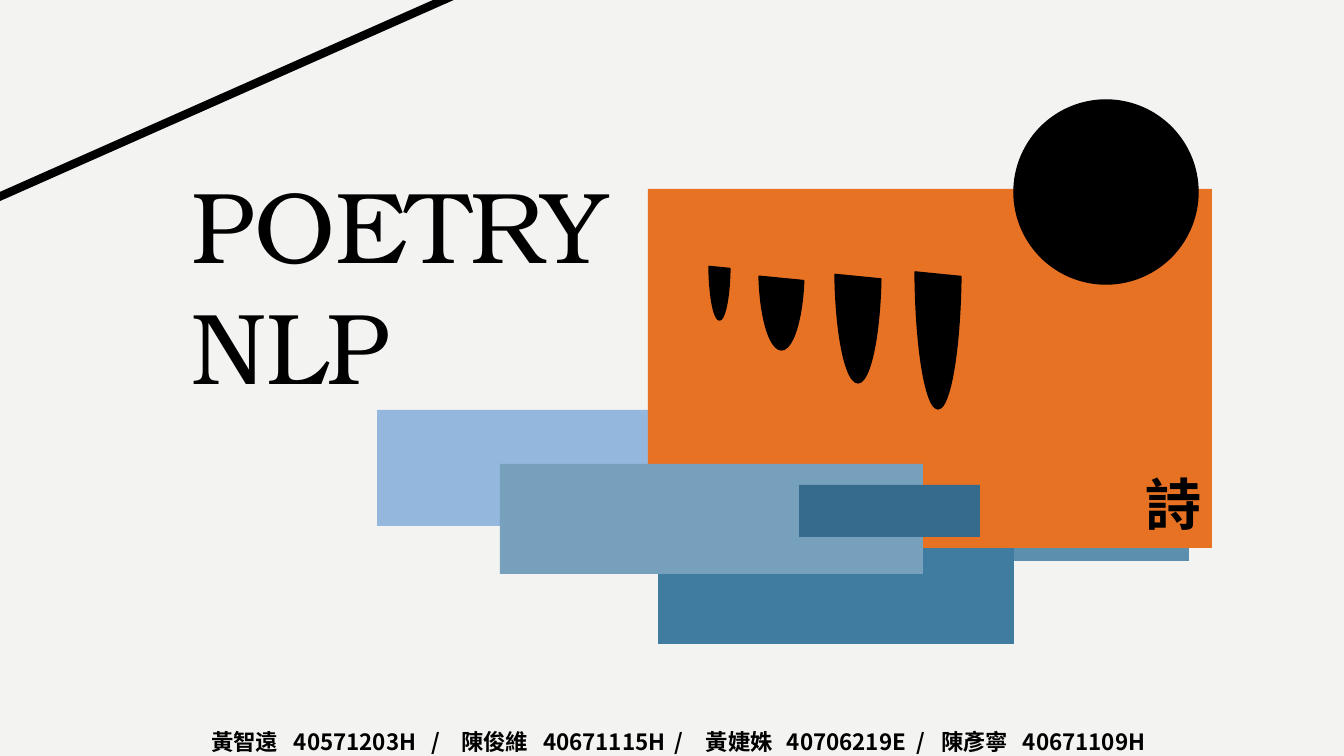
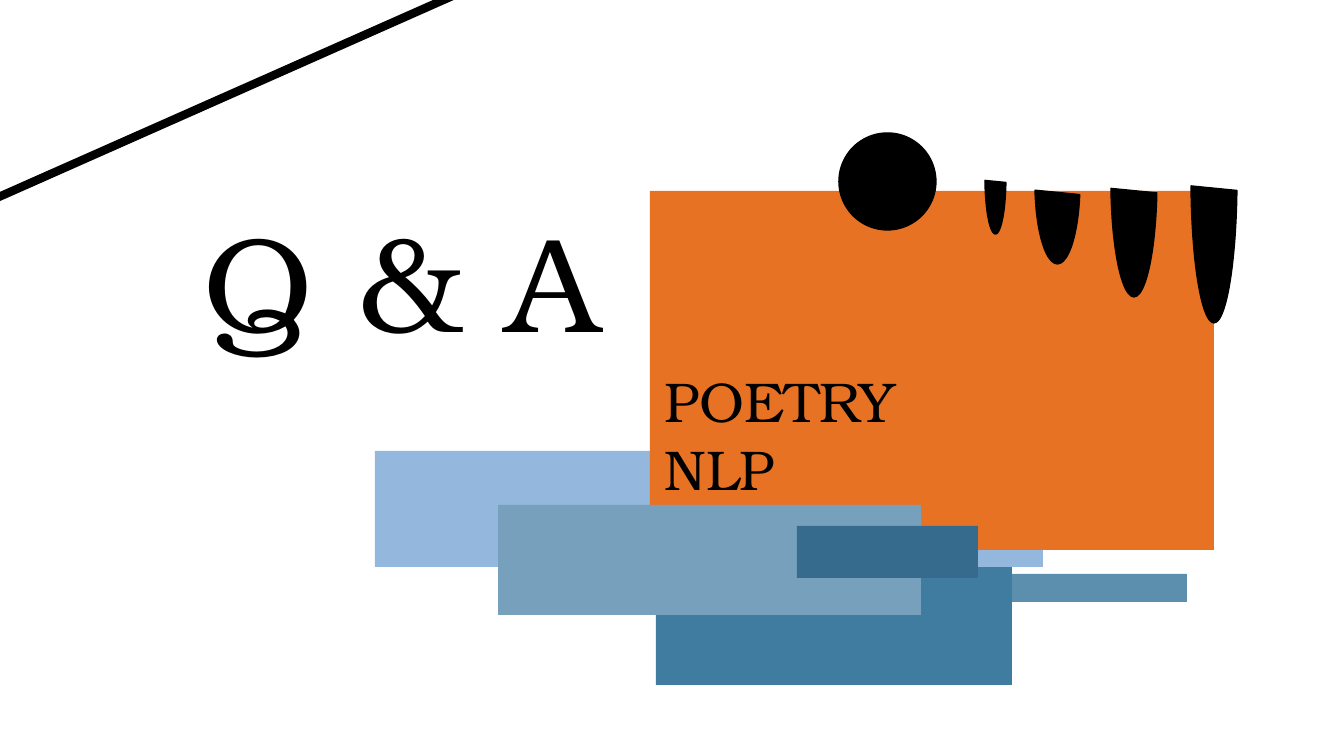
from dataclasses import dataclass

from lxml.etree import SubElement
from pptx import Presentation
from pptx.dml.color import RGBColor
from pptx.enum.shapes import MSO_CONNECTOR, MSO_SHAPE
from pptx.enum.text import MSO_AUTO_SIZE
from pptx.oxml.ns import qn
from pptx.util import Emu, Pt

WIDE, HIGH = 1344, 756
SCALE = 12192000 / WIDE


@dataclass(frozen=True)
class Theme:
    # Colours
    ink: str = "000000"
    paper: str = "F3F3F1"
    white: str = "FFFFFF"
    orange: str = "E77224"
    steel: str = "5C8FAD"
    ocean: str = "3F7C9F"
    sky: str = "94B8DD"
    mist: str = "77A0BD"
    navy: str = "376B8E"
    # Fonts and type sizes
    serif: str = "TeX Gyre Bonum"
    sans: str = "Noto Sans CJK SC"
    huge: int = 96
    title: int = 72
    label: int = 40
    small: int = 16
    # Line widths
    thin: int = 1
    thick: int = 6


THEME = Theme()

# Bands on the cover: colour and box, from back to front
BACK = [
    (THEME.steel, (616, 533, 573, 28)),
    (THEME.ocean, (658, 499, 356, 145)),
    (THEME.sky, (377, 410, 668, 116)),
]
FRONT = [
    (THEME.mist, (500, 464, 423, 110)),
    (THEME.navy, (799, 485, 181, 52)),
]
PANEL = (648, 189, 564, 359)
LEAVES = [
    (709, 206, 21, 114),
    (759, 188, 45, 162),
    (835, 151, 46, 232),
    (915, 120, 46, 289),
]
# Chord angles of 27.62 and 162 degrees, as adjustment values
CHORD = [degree * 0.6 for degree in (27.62, 162)]

TEAM = [
    ("黃智遠", "40571203H"),
    ("陳俊維", "40671115H"),
    ("黃婕姝", "40706219E"),
    ("陳彥寧", "40671109H"),
]
# Tab stops for number, slash and name, from the first name
STOPS = [83, 220, 250, 332, 464, 495, 576, 706, 730, 812]


def px(value):
    return Emu(round(value * SCALE))


def tint(code):
    return RGBColor.from_string(code)


def shift(box, move):
    left, top, width, height = box
    return left + move[0], top + move[1], width, height


def shape(slide, kind, box, color, edge=None):
    item = slide.shapes.add_shape(kind, *map(px, box))
    item.shadow.inherit = False
    item.fill.solid()
    item.fill.fore_color.rgb = tint(color)
    if edge:
        item.line.color.rgb = tint(color)
        item.line.width = Pt(edge)
    else:
        item.line.fill.background()
    return item


def text(slide, box, lines, size, face=THEME.serif, bold=False):
    frame = slide.shapes.add_textbox(*map(px, box)).text_frame
    frame.word_wrap = True
    frame.auto_size = MSO_AUTO_SIZE.SHAPE_TO_FIT_TEXT
    frame.text = "\n".join(lines)
    for para in frame.paragraphs:
        font = para.font
        font.name, font.size, font.bold = face, Pt(size), bold
        font.color.rgb = tint(THEME.ink)
        base = para._p.pPr.find(qn("a:defRPr"))
        SubElement(base, qn("a:ea")).set("typeface", face)
    return frame


def slash(slide):
    line = slide.shapes.add_connector(
        MSO_CONNECTOR.STRAIGHT, *map(px, (581, -61, -193, 282)))
    line.line.color.rgb = tint(THEME.ink)
    line.line.width = Pt(THEME.thick)
    SubElement(line._element.spPr, qn("a:effectLst"))


def art(slide, disc, bands=(0, 0), panel=(0, 0), leaves=(0, 0)):
    # Bands behind and in front of the orange panel
    rows = [(color, shift(box, bands)) for color, box in BACK]
    rows.append((THEME.orange, shift(PANEL, panel)))
    rows += [(color, shift(box, bands)) for color, box in FRONT]
    for color, box in rows:
        shape(slide, MSO_SHAPE.RECTANGLE, box, color)
    # Sun and leaves
    shape(slide, MSO_SHAPE.OVAL, disc, THEME.ink, THEME.thin)
    for box in LEAVES:
        leaf = shape(slide, MSO_SHAPE.CHORD, shift(box, leaves),
                     THEME.ink, THEME.thin)
        for index, value in enumerate(CHORD):
            leaf.adjustments[index] = value
    slash(slide)


def credits(slide):
    words = "\t/\t".join("\t".join(pair) for pair in TEAM)
    frame = text(slide, (15, 710, WIDE, 78), [words],
                 THEME.small, THEME.sans, True)
    frame.margin_left = px(196)
    para = frame.paragraphs[0]
    para.line_spacing = 1.5
    props = para._p.pPr
    tabs = SubElement(props, qn("a:tabLst"))
    for stop in STOPS:
        SubElement(tabs, qn("a:tab"), pos=str(px(stop)), algn="l")
    props.find(qn("a:defRPr")).addprevious(tabs)


def page(deck, color):
    slide = deck.slides.add_slide(deck.slide_layouts[6])
    slide.background.fill.solid()
    slide.background.fill.fore_color.rgb = tint(color)
    return slide


def main():
    deck = Presentation()
    deck.slide_width, deck.slide_height = px(WIDE), px(HIGH)

    # Cover
    cover = page(deck, THEME.paper)
    text(cover, (182, 158, 581, 254), ["POETRY NLP"], THEME.title)
    art(cover, (1014, 100, 184, 184))
    text(cover, (1136, 465, 152, 78), ["詩"], THEME.label, THEME.sans, True)
    credits(cover)

    # Questions
    close = page(deck, THEME.white)
    art(close, (839, 133, 97, 97), (-2, 41), (2, 2), (276, -86))
    text(close, (194, 193, 581, 173), ["Q & A"], THEME.huge)
    text(close, (655, 362, 581, 146), ["POETRY", "NLP"], THEME.label)

    deck.save("out.pptx")


main()
